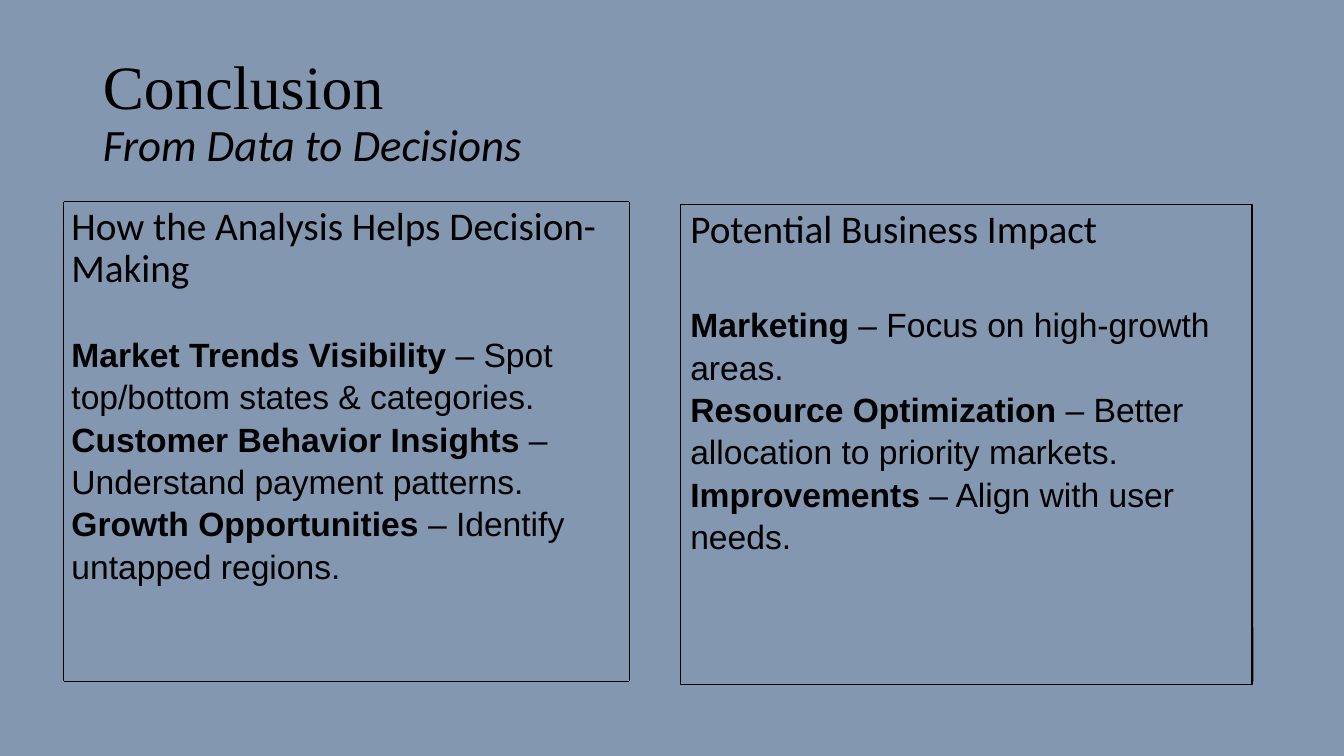
from dataclasses import dataclass
from itertools import pairwise

import pptx
import pptx.dml.color
import pptx.enum.shapes
import pptx.enum.text
import pptx.oxml
import pptx.oxml.ns
import pptx.util

SLIDE_WIDTH = pptx.util.Inches(13.33)
SLIDE_HEIGHT = pptx.util.Inches(7.5)
# The grid has 100 columns and 100 rows.
COLUMN = SLIDE_WIDTH / 100
ROW = SLIDE_HEIGHT / 100
INK = "000000"
BACKGROUND = "8497B0"
PANEL_WIDTH = 42.53
PANEL_HEIGHT = 63.47


@dataclass(frozen=True)
class Point:
    label: str
    detail: str


@dataclass(frozen=True)
class Panel:
    left: float
    top: float
    heading: str
    heading_gap: float
    points: tuple[Point, ...]
    outlined: bool


PANELS = (
    Panel(4.58, 26.67, "How the Analysis Helps Decision-Making", 29, (
        Point("Market Trends Visibility", " – Spot top/bottom states & categories."),
        Point("Customer Behavior Insights", " – Understand payment patterns."),
        Point("Growth Opportunities", " – Identify untapped regions."),
    ), False),
    Panel(50.63, 27.07, "Potential Business Impact", 36, (
        Point("Marketing", " – Focus on high-growth areas."),
        Point("Resource Optimization", " – Better allocation to priority markets."),
        Point("Improvements", " – Align with user needs."),
    ), True),
)

# Each border is a chain of (column, row) corners.
BORDERS = (
    ((4.73, 26.67), (46.8, 26.67), (46.8, 90.13), (4.73, 90.13), (4.73, 26.67)),
    ((93.15, 27.07), (93.23, 90.13)),
    ((50.78, 90.53), (93.15, 90.53)),
)


def color(value: str) -> pptx.dml.color.RGBColor:
    return pptx.dml.color.RGBColor.from_string(value)


def across(columns: float) -> int:
    return round(columns * COLUMN)


def down(rows: float) -> int:
    return round(rows * ROW)


def set_font(font, name: str, size: float) -> None:
    font.name = name
    font.size = pptx.util.Pt(size)
    font.color.rgb = color(INK)


def fill_title(title) -> None:
    title.left, title.top = across(6.9), down(5.33)
    title.width, title.height = across(86.25), down(19.33)
    frame = title.text_frame
    frame.word_wrap = True
    frame.vertical_anchor = pptx.enum.text.MSO_ANCHOR.MIDDLE
    paragraph = frame.paragraphs[0]
    paragraph.alignment = pptx.enum.text.PP_ALIGN.LEFT
    paragraph.line_spacing = 0.9
    topic = paragraph.add_run()
    topic.text = "Conclusion"
    set_font(topic.font, "Times New Roman", 44)
    paragraph.add_line_break()
    subtitle = paragraph.add_run()
    subtitle.text = "From Data to Decisions"
    set_font(subtitle.font, "Calibri", 32)
    subtitle.font.italic = True


def add_panel(slide, panel: Panel) -> None:
    box = slide.shapes.add_textbox(across(panel.left), down(panel.top),
                                   across(PANEL_WIDTH), down(PANEL_HEIGHT))
    if panel.outlined:
        box.line.color.rgb = color(INK)
        box.line.width = pptx.util.Pt(0.75)
    frame = box.text_frame
    frame.word_wrap = True
    heading = frame.paragraphs[0]
    heading.text = panel.heading
    heading.line_spacing = 0.9
    set_font(heading.font, "Calibri", 28)
    for index, point in enumerate(panel.points):
        paragraph = frame.add_paragraph()
        paragraph.line_spacing = 1.05
        paragraph.space_before = pptx.util.Pt(0 if index else panel.heading_gap)
        set_font(paragraph.font, "Arial", 24)
        label = paragraph.add_run()
        label.text = point.label
        label.font.bold = True
        paragraph.add_run().text = point.detail


def add_border(slide, corners: tuple[tuple[float, float], ...]) -> None:
    for (x1, y1), (x2, y2) in pairwise(corners):
        edge = slide.shapes.add_connector(
            pptx.enum.shapes.MSO_CONNECTOR.STRAIGHT,
            across(x1), down(y1), across(x2), down(y2))
        edge.line.color.rgb = color(INK)
        edge.line.width = pptx.util.Pt(0.5)
        properties = edge.element.spPr
        properties.append(properties.makeelement(pptx.oxml.ns.qn("a:effectLst")))


def main() -> None:
    presentation = pptx.Presentation()
    presentation.slide_width = SLIDE_WIDTH
    presentation.slide_height = SLIDE_HEIGHT
    slide = presentation.slides.add_slide(presentation.slide_layouts[5])
    slide.background.fill.solid()
    slide.background.fill.fore_color.rgb = color(BACKGROUND)
    fill_title(slide.shapes.title)
    for panel in PANELS:
        add_panel(slide, panel)
    for corners in BORDERS:
        add_border(slide, corners)
    presentation.save("out.pptx")


if __name__ == "__main__":
    main()
